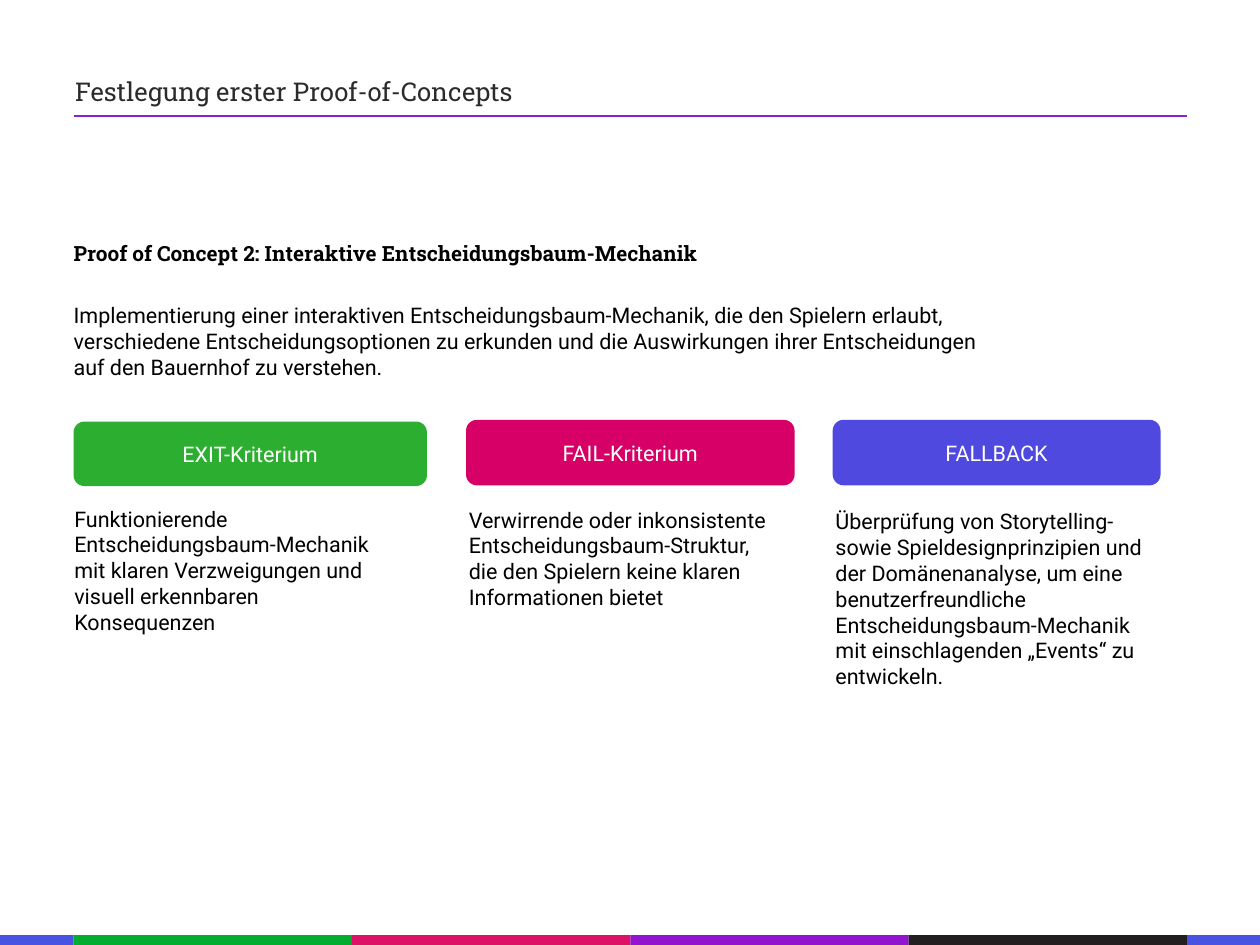
"""Build the slide on the second proof of concept and its three criteria."""
from dataclasses import dataclass

from lxml.etree import SubElement
from pptx import Presentation
from pptx.dml.color import RGBColor
from pptx.enum.shapes import MSO_CONNECTOR, MSO_SHAPE
from pptx.enum.text import MSO_ANCHOR, MSO_AUTO_SIZE, PP_ALIGN
from pptx.oxml.ns import qn
from pptx.shapes.autoshape import Shape
from pptx.slide import Slide
from pptx.util import Cm, Pt

WHITE = RGBColor(0xFF, 0xFF, 0xFF)
BLACK = RGBColor(0x00, 0x00, 0x00)
HEADING_GREY = RGBColor(0x2B, 0x2B, 0x2B)
RULE_PURPLE = RGBColor(0x87, 0x23, 0xC7)
EXIT_GREEN = RGBColor(0x2C, 0xAF, 0x30)
FAIL_PINK = RGBColor(0xD6, 0x00, 0x67)
FALLBACK_BLUE = RGBColor(0x4F, 0x49, 0xE0)
BAND_BLUE = RGBColor(0x49, 0x53, 0xE1)
BAND_COLORS = [
    RGBColor(0x01, 0xAD, 0x2F),
    RGBColor(0xDD, 0x11, 0x66),
    RGBColor(0x93, 0x14, 0xCE),
    RGBColor(0x23, 0x1F, 0x20),
]

SLIDE_WIDTH, SLIDE_HEIGHT = 36.12, 27.1
MARGIN = 2.11
BAND_HEIGHT = 0.28
BAND_STEP = 7.98

HEADING_FONT = {"name": "Roboto Slab", "size": Pt(21), "bold": False}
CONCEPT_FONT = {"name": "Roboto Slab", "size": Pt(17), "bold": True}
BODY_FONT = {"name": "Roboto", "size": Pt(17.5), "bold": False}

PLAIN_FRAME = {
    "margin_left": 0,
    "margin_top": 0,
    "margin_right": 0,
    "margin_bottom": 0,
    "word_wrap": True,
    "auto_size": MSO_AUTO_SIZE.NONE,
    "vertical_anchor": MSO_ANCHOR.TOP,
}
CENTRED_FRAME = PLAIN_FRAME | {"vertical_anchor": MSO_ANCHOR.MIDDLE}
HEADING_FRAME = CENTRED_FRAME | {"word_wrap": False}

LEFT_PARAGRAPH = {"alignment": PP_ALIGN.LEFT, "space_before": Pt(0)}
CENTRED_PARAGRAPH = LEFT_PARAGRAPH | {"alignment": PP_ALIGN.CENTER}
CONCEPT_PARAGRAPH = LEFT_PARAGRAPH | {"line_spacing": Pt(22)}


@dataclass(frozen=True)
class Box:
    left: float
    top: float
    width: float
    height: float


@dataclass(frozen=True)
class Criterion:
    label: str
    label_box: Box
    color: RGBColor
    explanation: str
    explanation_box: Box


CRITERIA = [
    Criterion(
        "EXIT-Kriterium", Box(MARGIN, 12.09, 10.13, 1.85), EXIT_GREEN,
        "Funktionierende Entscheidungsbaum-Mechanik mit klaren Verzweigungen "
        "und visuell erkennbaren Konsequenzen",
        Box(2.13, 14.5, 9, 4.5),
    ),
    Criterion(
        "FAIL-Kriterium", Box(13.36, 12.04, 9.42, 1.88), FAIL_PINK,
        "Verwirrende oder inkonsistente Entscheidungsbaum-Struktur, die den "
        "Spielern keine klaren Informationen bietet",
        Box(13.44, 14.53, 9, 3.7),
    ),
    Criterion(
        "FALLBACK", Box(23.87, 12.04, 9.4, 1.88), FALLBACK_BLUE,
        "Überprüfung von Storytelling- sowie Spieldesignprinzipien und der "
        "Domänenanalyse, um eine benutzerfreundliche Entscheidungsbaum-Mechanik "
        "mit einschlagenden „Events“ zu entwickeln.",
        Box(23.95, 14.58, 9, 5.2),
    ),
]


def emu(box: Box) -> tuple[Cm, Cm, Cm, Cm]:
    return Cm(box.left), Cm(box.top), Cm(box.width), Cm(box.height)


def apply_format(target: object, values: dict) -> None:
    for attribute, value in values.items():
        setattr(target, attribute, value)


def write(
    holder: Shape, wording: str, font: dict, color: RGBColor,
    frame: dict = PLAIN_FRAME, paragraph: dict = LEFT_PARAGRAPH,
) -> None:
    apply_format(holder.text_frame, frame)
    holder.text_frame.text = wording
    line = holder.text_frame.paragraphs[0]
    apply_format(line, paragraph)
    apply_format(line.runs[0].font, font)
    line.runs[0].font.color.rgb = color


def place(holder: Shape, box: Box) -> Shape:
    apply_format(holder, dict(zip(("left", "top", "width", "height"), emu(box))))
    return holder


def add_block(slide: Slide, kind: MSO_SHAPE, box: Box, color: RGBColor) -> Shape:
    block = slide.shapes.add_shape(kind, *emu(box))
    block.shadow.inherit = False
    block.fill.solid()
    block.fill.fore_color.rgb = color
    block.line.fill.background()
    return block


def add_heading(slide: Slide) -> None:
    heading = place(slide.shapes.title, Box(2.15, 2.16, 12.8, 0.89))
    write(heading, "Festlegung erster Proof-of-Concepts",
          HEADING_FONT, HEADING_GREY, HEADING_FRAME)
    rule = slide.shapes.add_connector(
        MSO_CONNECTOR.STRAIGHT, Cm(2.13), Cm(3.32), Cm(34.02), Cm(3.32))
    rule.line.color.rgb = RULE_PURPLE
    rule.line.width = Pt(2)
    SubElement(rule._element.spPr, qn("a:effectLst"))


def add_concept(slide: Slide) -> None:
    concept = slide.shapes.add_textbox(*emu(Box(MARGIN, 6.83, 18.57, 0.74)))
    write(concept, "Proof of Concept 2: Interaktive Entscheidungsbaum-Mechanik",
          CONCEPT_FONT, BLACK, paragraph=CONCEPT_PARAGRAPH)
    description = place(slide.placeholders[1], Box(MARGIN, 8.66, 26.64, 2.97))
    write(description,
          "Implementierung einer interaktiven Entscheidungsbaum-Mechanik, die den "
          "Spielern erlaubt, verschiedene Entscheidungsoptionen zu erkunden und die "
          "Auswirkungen ihrer Entscheidungen auf den Bauernhof zu verstehen.",
          BODY_FONT, BLACK)
    properties = description.text_frame.paragraphs[0]._p.get_or_add_pPr()
    properties.set("marL", "0")
    properties.set("indent", "0")
    SubElement(properties, qn("a:buNone"))


def add_criterion(slide: Slide, criterion: Criterion) -> None:
    label = add_block(slide, MSO_SHAPE.ROUNDED_RECTANGLE,
                      criterion.label_box, criterion.color)
    write(label, criterion.label, BODY_FONT, WHITE, CENTRED_FRAME, CENTRED_PARAGRAPH)
    explanation = slide.shapes.add_textbox(*emu(criterion.explanation_box))
    write(explanation, criterion.explanation, BODY_FONT, BLACK)


def add_colour_band(slide: Slide) -> None:
    inner_edges = [MARGIN + BAND_STEP * i for i in range(len(BAND_COLORS) + 1)]
    edges = [0, *inner_edges, SLIDE_WIDTH]
    colors = [BAND_BLUE, *BAND_COLORS, BAND_BLUE]
    for left, right, color in zip(edges, edges[1:], colors):
        box = Box(left, SLIDE_HEIGHT - BAND_HEIGHT, right - left, BAND_HEIGHT)
        add_block(slide, MSO_SHAPE.RECTANGLE, box, color)


def main() -> None:
    presentation = Presentation()
    presentation.slide_width = Cm(SLIDE_WIDTH)
    presentation.slide_height = Cm(SLIDE_HEIGHT)
    slide = presentation.slides.add_slide(presentation.slide_layouts[1])
    add_heading(slide)
    add_concept(slide)
    for criterion in CRITERIA:
        add_criterion(slide, criterion)
    add_colour_band(slide)
    presentation.save("out.pptx")


if __name__ == "__main__":
    main()
